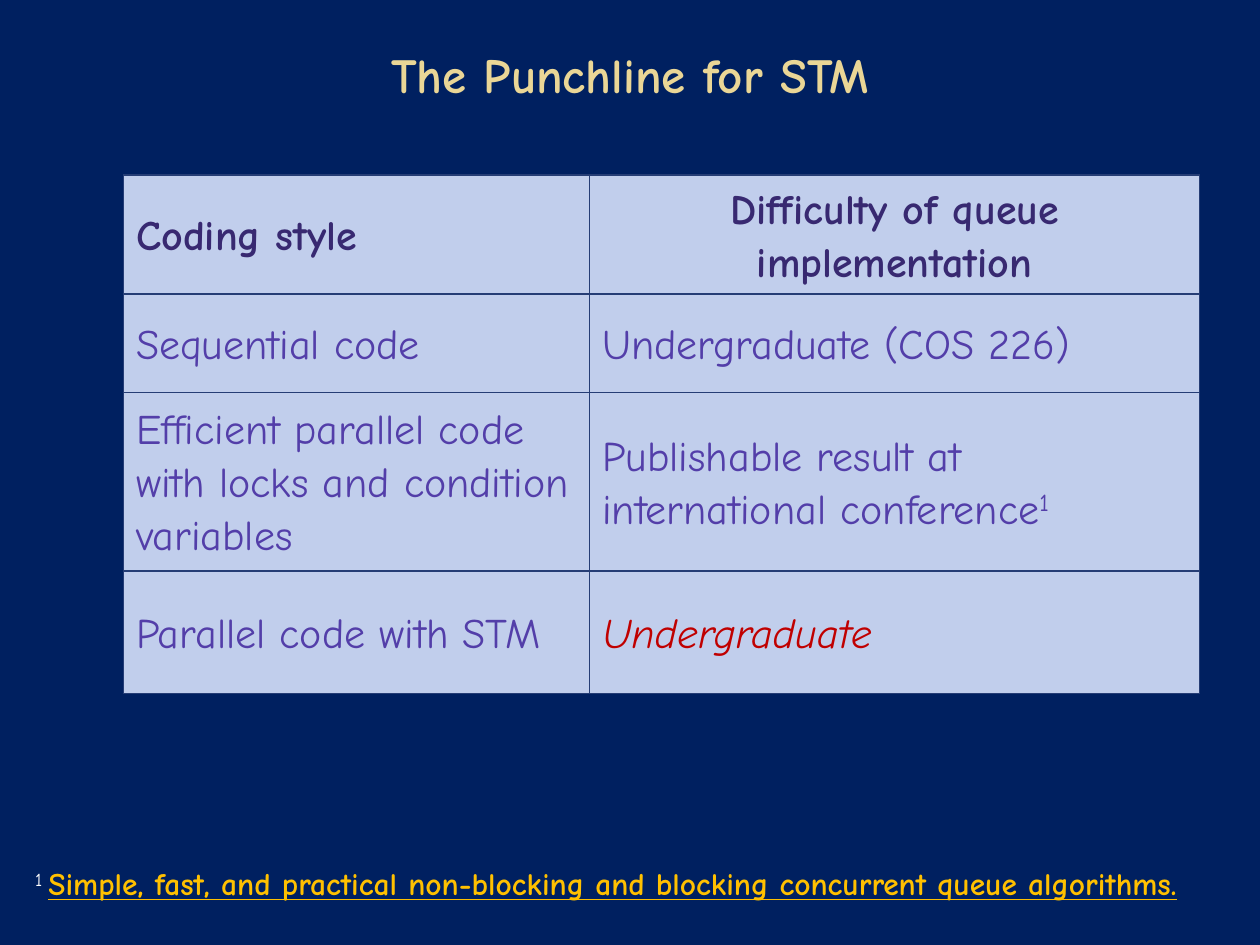
from lxml import etree
from pptx import Presentation
from pptx.dml.color import RGBColor
from pptx.enum.text import MSO_ANCHOR, MSO_AUTO_SIZE, PP_ALIGN
from pptx.oxml.ns import qn
from pptx.util import Inches, Pt

LEFT, MID = PP_ALIGN.LEFT, PP_ALIGN.CENTER
TOP, CENTRE = MSO_ANCHOR.TOP, MSO_ANCHOR.MIDDLE
GROW = MSO_AUTO_SIZE.SHAPE_TO_FIT_TEXT
WIDE, HIGH = 10, 7.5
HUES = {"back": "002060", "cell": "C1CEEC", "edge": "253D75", "head": "382971",
        "body": "533EA9", "alert": "C00000", "note": "FFC000",
        "title": "EAD696", "mark": "FFFFFF"}
HEAD = {"size": 24, "hue": "head", "bold": True}
BODY = {"size": 24, "hue": "body"}
RAISED = {**BODY, "raise": 30}
ALERT = {**BODY, "hue": "alert", "italic": True}
TITLE = {"size": 28, "hue": "title", "bold": True}
MARK = {"size": 18, "hue": "mark", "raise": 30}
NOTE = {"size": 18, "hue": "note", "bold": True, "underline": True}
ROWS = [
    [[("Coding style", HEAD)], [("Difficulty of queue implementation", HEAD)]],
    [[("Sequential code", BODY)], [("Undergraduate (COS 226)", BODY)]],
    [[("Efficient parallel code with locks and condition variables", BODY)],
     [("Publishable result at international conference", BODY), ("1", RAISED)]],
    [[("Parallel code with STM", BODY)], [("Undergraduate", ALERT)]],
]


class Deck:
    face = "Comic Neue"

    def __init__(self):
        self.show = Presentation()
        self.show.slide_width, self.show.slide_height = Inches(WIDE), Inches(HIGH)
        self.page = self.show.slides.add_slide(self.show.slide_layouts[6])
        fill = self.page.background.fill
        fill.solid()
        fill.fore_color.rgb = self.hue("back")

    def hue(self, name):
        return RGBColor.from_string(HUES[name])

    def place(self, x, y, w, h):
        return (Inches(x * WIDE), Inches(y * HIGH),
                Inches(w * WIDE), Inches(h * HIGH))

    def runs(self, para, parts, align):
        para.alignment = align
        for text, look in parts:
            run = para.add_run()
            run.text = text
            font = run.font
            values = {"name": self.face, "size": Pt(look["size"])}
            for key in ("bold", "italic", "underline"):
                values[key] = look.get(key, False)
            for key, value in values.items():
                setattr(font, key, value)
            font.color.rgb = self.hue(look["hue"])
            if "raise" in look:
                run._r.get_or_add_rPr().set("baseline", str(look["raise"] * 1000))

    def text(self, box, parts, align=LEFT, hang=0, **look):
        frame = self.page.shapes.add_textbox(*self.place(*box)).text_frame
        for key, value in {"word_wrap": True, "vertical_anchor": TOP, **look}.items():
            setattr(frame, key, value)
        para = frame.paragraphs[0]
        self.runs(para, parts, align)
        if hang:
            props = para._p.get_or_add_pPr()
            props.set("marL", str(Inches(hang)))
            props.set("indent", str(-Inches(hang)))

    def edge(self, cell, side, width):
        line = etree.SubElement(cell._tc.get_or_add_tcPr(), qn("a:" + side),
                                w=str(Pt(width)))
        fill = etree.SubElement(line, qn("a:solidFill"))
        etree.SubElement(fill, qn("a:srgbClr"), val=HUES["edge"])

    def cell(self, cell, parts, row, col):
        cell.vertical_anchor = CENTRE
        para = cell.text_frame.paragraphs[0]
        self.runs(para, parts, MID if (row, col) == (0, 1) else LEFT)
        para.line_spacing = 1.1
        after = etree.SubElement(para._p.get_or_add_pPr(), qn("a:spcAft"))
        etree.SubElement(after, qn("a:spcPct"), val="20000")
        widths = {"lnL": 1, "lnR": 1, "lnT": 1.5 if row == 1 else 1,
                  "lnB": 1.5 if row == 0 else 1}
        for side, width in widths.items():
            self.edge(cell, side, width)
        cell.fill.solid()
        cell.fill.fore_color.rgb = self.hue("cell")

    def table(self, box, rows, cols, highs):
        grid = self.page.shapes.add_table(len(rows), len(cols),
                                          *self.place(*box)).table
        for col, share in zip(grid.columns, cols):
            col.width = Inches(share * WIDE)
        for row, share in zip(grid.rows, highs):
            row.height = Inches(share * HIGH)
        for r, line in enumerate(rows):
            for c, parts in enumerate(line):
                self.cell(grid.cell(r, c), parts, r, c)

    def save(self):
        self.show.save("out.pptx")


def main():
    deck = Deck()
    deck.table((0.098, 1.39 / HIGH, 0.854, 4.15 / HIGH), ROWS,
               (0.37, 0.484), [high / HIGH for high in (0.79, 0.78, 1.42, 0.97)])
    deck.text((0.018, 6.81 / HIGH, 0.982, 0.4 / HIGH),
              [("1 ", MARK),
               ("Simple, fast, and practical non-blocking and blocking "
                "concurrent queue algorithms.", NOTE)],
              hang=0.39, auto_size=GROW)
    deck.text((0.05, 0.04, 0.9, 1.25 / HIGH), [("The Punchline for STM", TITLE)], MID)
    deck.save()


if __name__ == "__main__":
    main()
